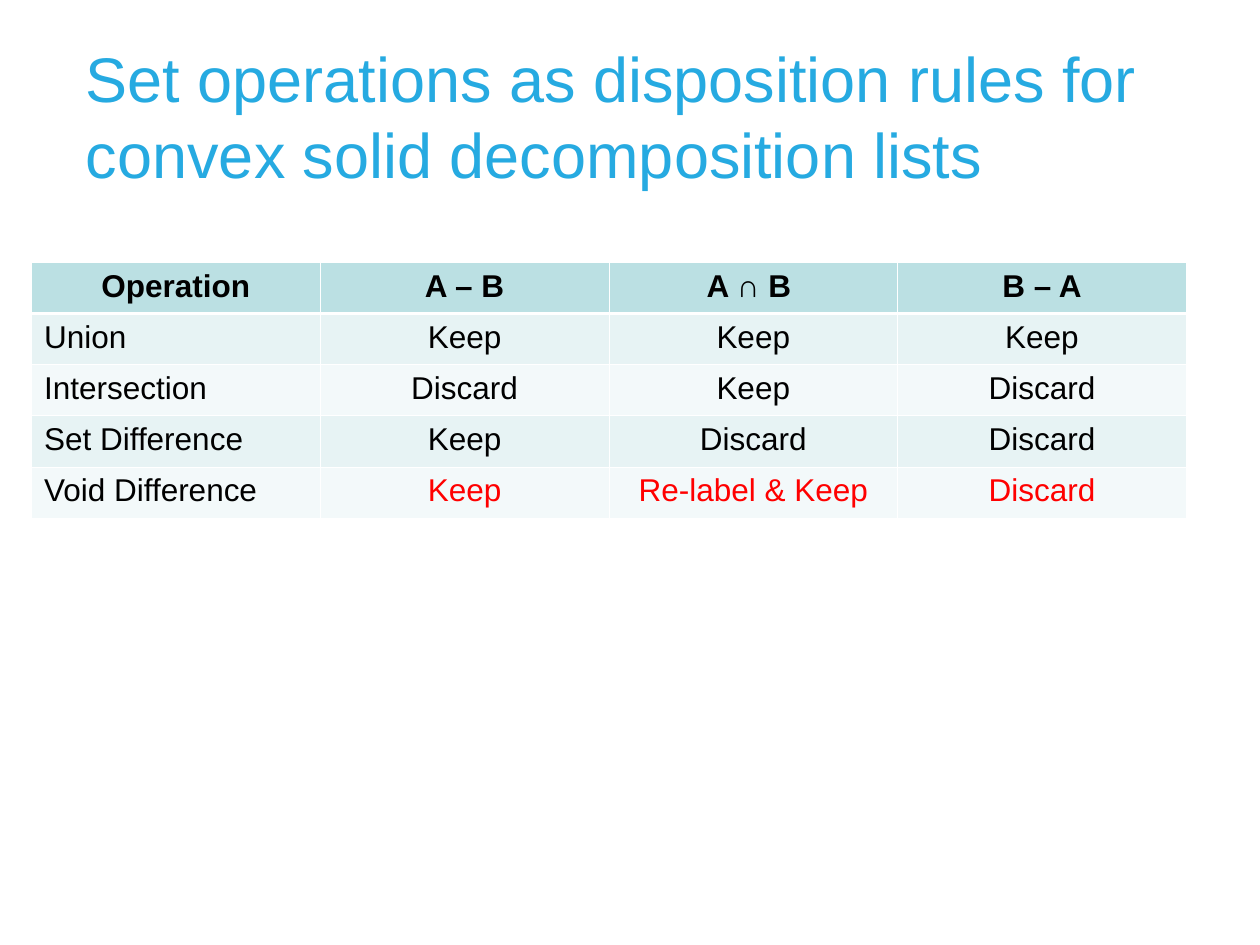
from lxml.etree import SubElement
from pptx import Presentation
from pptx.dml.color import RGBColor
from pptx.enum.text import MSO_ANCHOR, PP_ALIGN
from pptx.oxml.ns import qn
from pptx.util import Pt


def color(hex_value):
    return RGBColor.from_string(hex_value)


def write(paragraph, text, size, hex_value, bold=False):
    run = paragraph.add_run()
    run.text = text
    run.font.color.rgb = color(hex_value)
    formats = {"name": "Arial", "size": Pt(size), "bold": bold}
    for attribute, value in formats.items():
        setattr(run.font, attribute, value)


presentation = Presentation()
presentation.slide_width, presentation.slide_height = Pt(720), Pt(540)
slide = presentation.slides.add_slide(presentation.slide_layouts[6])

# Title
heading = slide.shapes.add_textbox(Pt(42), Pt(12), Pt(624), Pt(108)).text_frame
heading.word_wrap = True
heading.vertical_anchor = MSO_ANCHOR.MIDDLE
write(heading.paragraphs[0],
      "Set operations as disposition rules for convex solid decomposition lists",
      36, "26AAE1")

# Disposition rules
rules = [
    ["Operation", "A – B", "A ∩ B ", "B – A"],
    ["Union", "Keep", "Keep", "Keep"],
    ["Intersection", "Discard", "Keep", "Discard"],
    ["Set Difference", "Keep", "Discard", "Discard"],
    ["Void Difference", "Keep", "Re-label & Keep", "Discard"],
]
row_fills = ["BBE0E3", "E7F3F4", "F3F9FA", "E7F3F4", "F3F9FA"]
last_row = len(rules) - 1

rule_table = slide.shapes.add_table(
    len(rules), len(rules[0]), Pt(18), Pt(150), Pt(660), Pt(146)).table
for table_row in rule_table.rows:
    table_row.height = Pt(29.2)

for row, entries in enumerate(rules):
    for column, entry in enumerate(entries):
        cell = rule_table.cell(row, column)

        # White borders, heavier between the header and the body
        border_widths = {
            "a:lnL": 0.45,
            "a:lnR": 0.45,
            "a:lnT": 1.47 if row == 1 else 0.45,
            "a:lnB": 1.47 if row == 0 else 0.45,
        }
        cell_properties = cell._tc.get_or_add_tcPr()
        for side, width in border_widths.items():
            border = SubElement(cell_properties, qn(side), w=str(Pt(width)))
            border_fill = SubElement(border, qn("a:solidFill"))
            SubElement(border_fill, qn("a:srgbClr"), val="FFFFFF")

        cell.fill.solid()
        cell.fill.fore_color.rgb = color(row_fills[row])

        # Operation names sit left, everything else is centred
        paragraph = cell.text_frame.paragraphs[0]
        is_operation = row > 0 and column == 0
        paragraph.alignment = PP_ALIGN.LEFT if is_operation else PP_ALIGN.CENTER
        is_highlighted = row == last_row and column > 0
        write(paragraph, entry, 18, "FF0000" if is_highlighted else "000000",
              bold=row == 0)

presentation.save("out.pptx")
